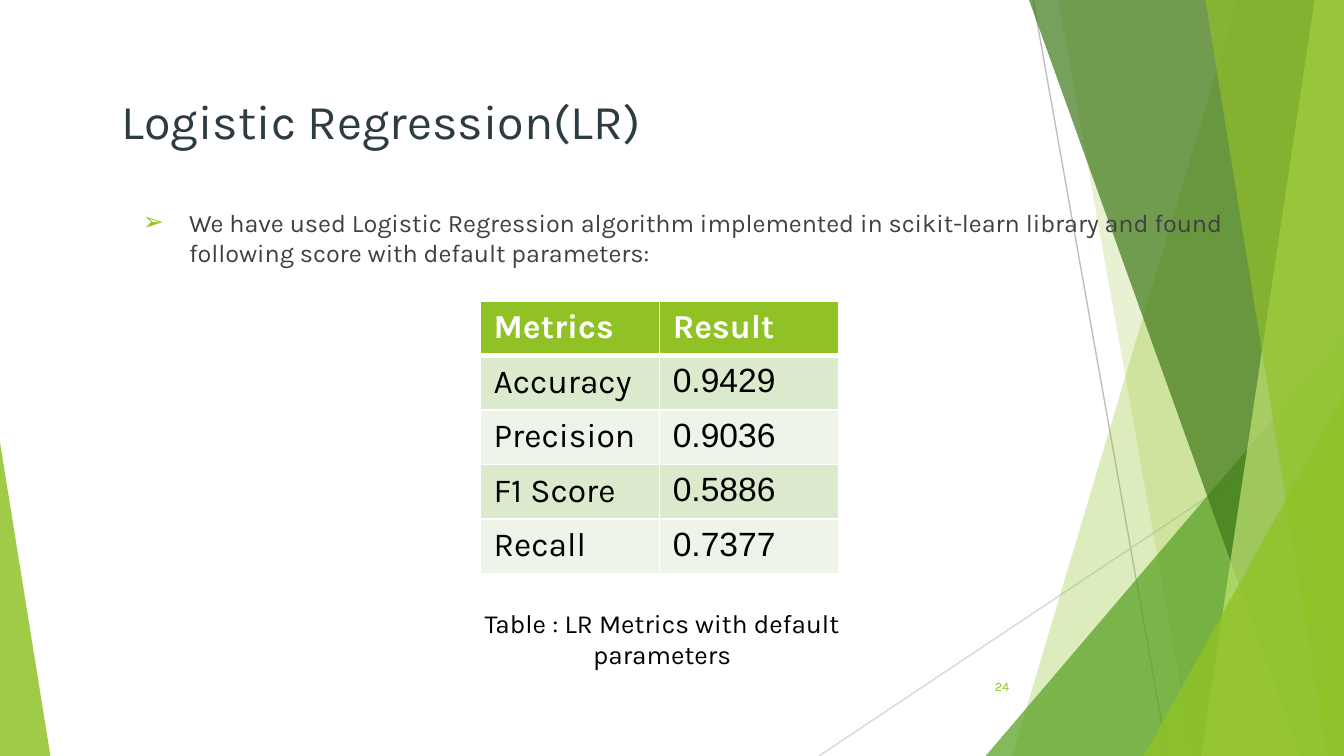
from lxml.etree import SubElement
from pptx import Presentation
from pptx.dml.color import RGBColor
from pptx.enum.shapes import MSO_CONNECTOR, MSO_SHAPE
from pptx.enum.text import MSO_ANCHOR, MSO_AUTO_SIZE, PP_ALIGN
from pptx.oxml.ns import qn
from pptx.util import Pt

PX = 9525  # EMU per px, 96 px to the inch
WIDTH, HEIGHT = 960, 540
COLORS = {
    "lime": "90C226", "green": "54A021", "forest": "3F7819", "pale": "C0E474",
    "line_dark": "BFBFBF", "line_light": "D9D9D9", "title": "2C3C43",
    "body": "404040", "black": "000000", "white": "FFFFFF",
    "band_dark": "DBE9CD", "band_light": "EEF4E8",
}
METRICS = [("Metrics", "Result"), ("Accuracy", "0.9429"), ("Precision", "0.9036"),
           ("F1 Score", "0.5886"), ("Recall", "0.7377")]


def rgb(color):
    return RGBColor.from_string(COLORS[color])


def emu(*lengths):
    return [length * PX for length in lengths]


def add_run(paragraph, text, size, color, font="Karla", bold=False):
    run = paragraph.add_run()
    run.text = text
    run.font.size, run.font.name, run.font.bold = Pt(size), font, bold
    run.font.color.rgb = rgb(color)


def set_frame(shape, box, anchor, inset=10):
    """Place a text shape and return its first paragraph."""
    shape.left, shape.top, shape.width, shape.height = emu(*box)
    frame = shape.text_frame
    frame.word_wrap = True
    frame.auto_size = MSO_AUTO_SIZE.NONE
    frame.vertical_anchor = anchor
    frame.margin_left = frame.margin_right = inset * PX
    frame.margin_top = frame.margin_bottom = inset * PX
    paragraph = frame.paragraphs[0]
    paragraph.space_before = Pt(0)
    return paragraph


def paint(shape, color, opacity):
    shape.shadow.inherit = False
    shape.line.fill.background()
    shape.fill.solid()
    shape.fill.fore_color.rgb = rgb(color)
    fill_color = shape.element.spPr.find(qn("a:solidFill")).find(qn("a:srgbClr"))
    SubElement(fill_color, qn("a:alpha"), val=str(opacity * 1000))


def add_line(group, start, end, color):
    line = group.shapes.add_connector(MSO_CONNECTOR.STRAIGHT, *emu(*start, *end))
    line.line.color.rgb = rgb(color)
    line.line.width = Pt(0.75)
    SubElement(line.element.spPr, qn("a:effectLst"))


def add_shard(group, box, top_x, bottom_x, color, opacity):
    """Fill from a slanted edge to the right side of the box."""
    left, top, width, height = box
    right, bottom = left + width, top + height
    builder = group.shapes.build_freeform(left + top_x, top, scale=PX)
    builder.add_line_segments([(right, top), (right, bottom), (left + bottom_x, bottom)])
    paint(builder.convert_to_shape(), color, opacity)


def add_corner(group, box, apex, color, opacity):
    """Add a triangle with its apex at 0 (left) or 1 (right)."""
    triangle = group.shapes.add_shape(MSO_SHAPE.ISOSCELES_TRIANGLE, *emu(*box))
    triangle.adjustments[0] = apex
    paint(triangle, color, opacity)


def add_backdrop(slide, box):
    left, top, width, height = box
    right, bottom = left + width, top + height
    group = slide.shapes.add_group_shape()
    add_line(group, (left + 738, top), (left + 834, bottom), "line_dark")
    add_line(group, (right, top + 290), (left + 585, bottom), "line_light")
    add_shard(group, box, 884, 723, "lime", 30)
    add_shard(group, box, 756, 852, "lime", 20)
    add_corner(group, (right - 256, bottom - 300, 256, 300), 1, "green", 72)
    add_shard(group, box, 735, 929, "forest", 70)
    add_shard(group, box, 939, 858, "pale", 70)
    add_shard(group, box, 861, 948, "lime", 65)
    add_corner(group, (right - 143, bottom - 258, 143, 258), 1, "lime", 80)
    add_corner(group, (left, bottom - 224, 36, 224), 0, "lime", 85)
    slide.shapes.element.insert(2, group.element)  # behind the placeholders


def fill_title(slide, box):
    paragraph = set_frame(slide.shapes.title, box, MSO_ANCHOR.TOP)
    paragraph.alignment = PP_ALIGN.LEFT
    add_run(paragraph, "Logistic Regression(LR)", 26, "title")


def fill_body(slide, box):
    paragraph = set_frame(slide.placeholders[1], box, MSO_ANCHOR.TOP)
    properties = paragraph._p.get_or_add_pPr()
    properties.set("marL", str(48 * PX))
    properties.set("indent", str(-33 * PX))
    bullet_color = SubElement(properties, qn("a:buClr"))
    SubElement(bullet_color, qn("a:srgbClr"), val=COLORS["lime"])
    SubElement(properties, qn("a:buChar"), char="➢")
    add_run(paragraph, "We have used Logistic Regression algorithm implemented in "
            "scikit-learn library and found following score with default parameters:",
            13.5, "body")


def add_borders(cell, bottom_width):
    properties = cell._tc.get_or_add_tcPr()
    for side, width in (("L", 1), ("R", 1), ("T", 1), ("B", bottom_width)):
        border = SubElement(properties, qn(f"a:ln{side}"), w=str(Pt(width)))
        fill = SubElement(border, qn("a:solidFill"))
        SubElement(fill, qn("a:srgbClr"), val=COLORS["white"])


def add_metrics_table(slide, box):
    table = slide.shapes.add_table(len(METRICS), 2, *emu(*box)).table
    for row, values in enumerate(METRICS):
        header = row == 0
        band = "lime" if header else ("band_light", "band_dark")[row % 2]
        for column, value in enumerate(values):
            cell = table.cell(row, column)
            # The top of the first data row shares the thick header rule.
            add_borders(cell, 3 if header else 1)
            if row == 1:
                cell._tc.tcPr.find(qn("a:lnT")).set("w", str(Pt(3)))
            cell.fill.solid()
            cell.fill.fore_color.rgb = rgb(band)
            font = "Arial" if column and not header else "Karla"
            add_run(cell.text_frame.paragraphs[0], value, 18,
                    "white" if header else "black", font, header)


def add_label(slide, box, text, size, color, alignment):
    label = slide.shapes.add_textbox(*emu(*box))
    paragraph = set_frame(label, box, MSO_ANCHOR.MIDDLE, 5 if size < 10 else 10)
    paragraph.alignment = alignment
    add_run(paragraph, text, size, color)


def main():
    presentation = Presentation()
    presentation.slide_width, presentation.slide_height = emu(WIDTH, HEIGHT)
    slide = presentation.slides.add_slide(presentation.slide_layouts[1])
    slide.background.fill.solid()
    slide.background.fill.fore_color.rgb = rgb("white")
    add_backdrop(slide, (0, 0, WIDTH, HEIGHT))
    fill_title(slide, (77, 55, 808, 57))
    fill_body(slide, (77, 138, 808, 237))
    add_metrics_table(slide, (343, 215, 256, 195))
    add_label(slide, (293, 426, 360, 60), "Table : LR Metrics with default parameters",
              14, "black", PP_ALIGN.CENTER)
    add_label(slide, (677, 476, 49, 29), "24", 6.8, "lime", PP_ALIGN.RIGHT)
    presentation.save("out.pptx")


if __name__ == "__main__":
    main()
